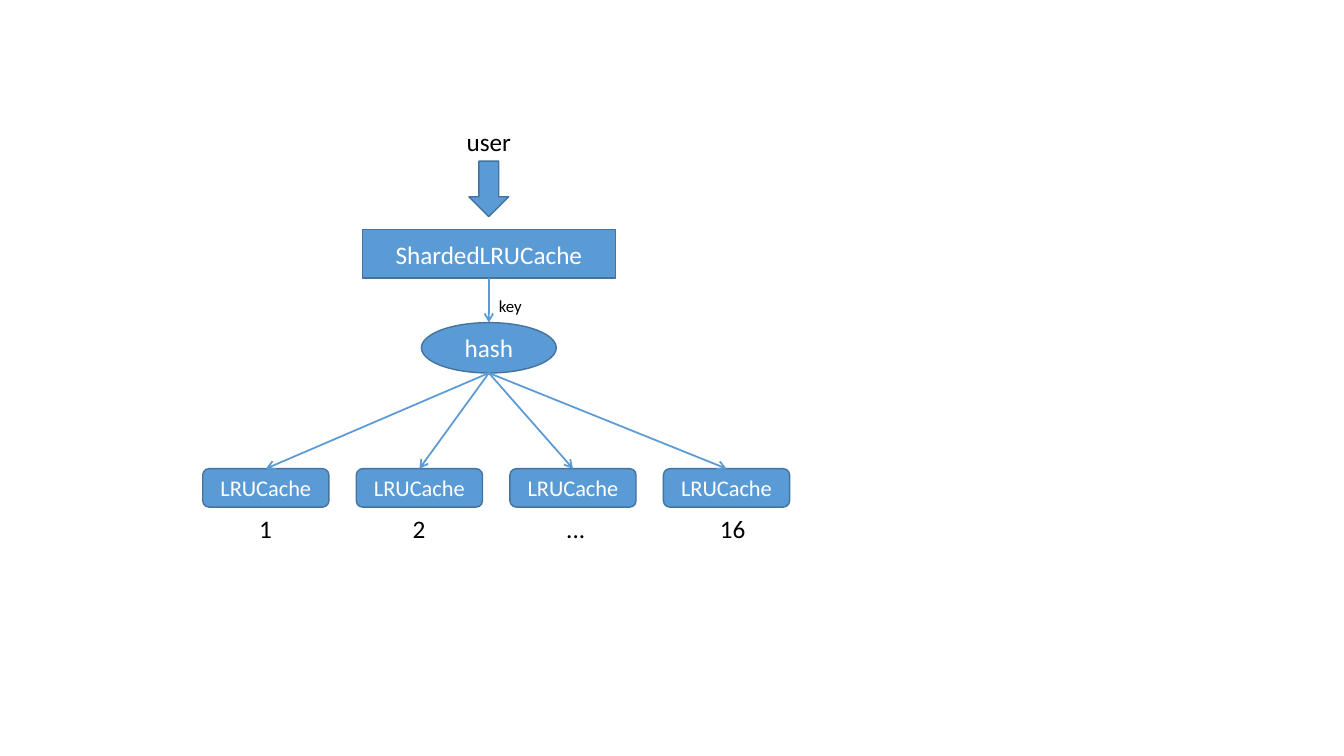
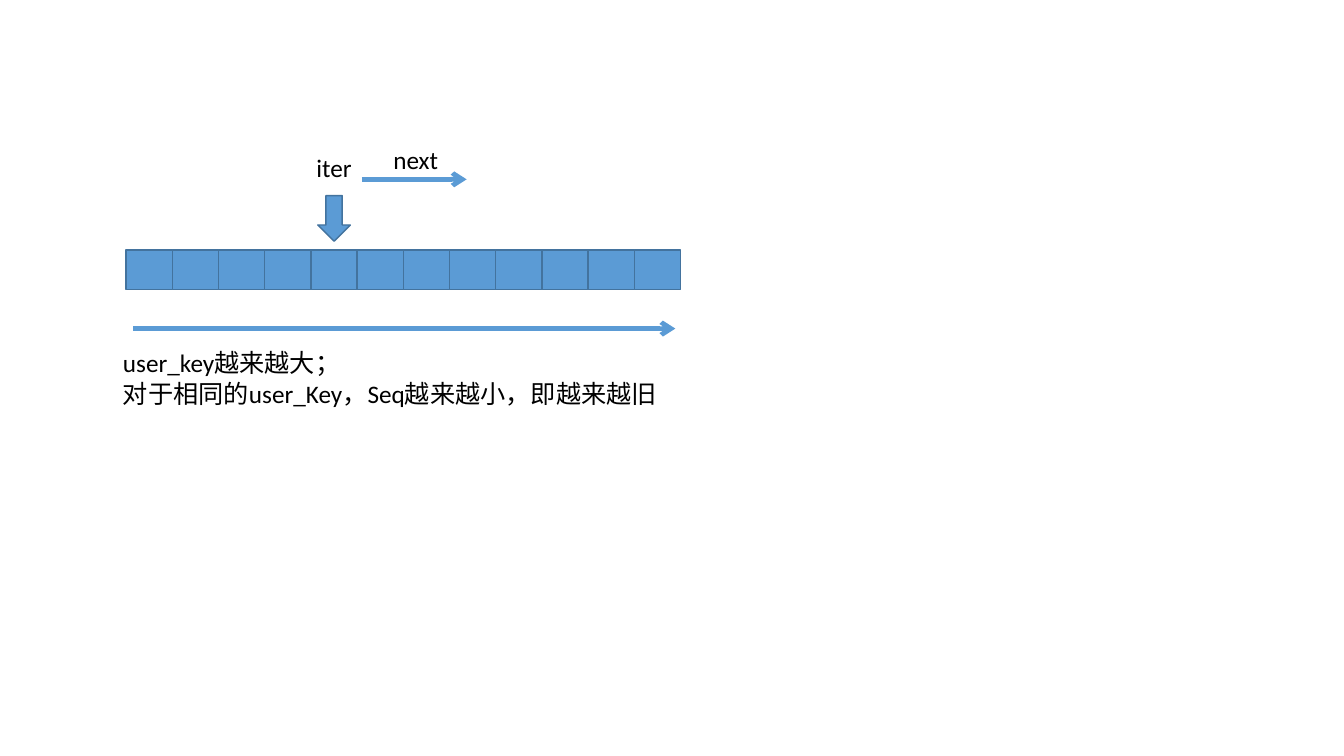
from lxml import etree
from pptx import Presentation
from pptx.dml.color import RGBColor
from pptx.enum.shapes import MSO_CONNECTOR, MSO_SHAPE
from pptx.enum.text import MSO_ANCHOR, PP_ALIGN
from pptx.oxml.ns import qn
from pptx.util import Cm, Pt

RECTANGLE = MSO_SHAPE.RECTANGLE
ROUNDED = MSO_SHAPE.ROUNDED_RECTANGLE
OVAL = MSO_SHAPE.OVAL
DOWN_ARROW = MSO_SHAPE.DOWN_ARROW
STRAIGHT = MSO_CONNECTOR.STRAIGHT
CENTER, LEFT = PP_ALIGN.CENTER, PP_ALIGN.LEFT
MIDDLE, TOP = MSO_ANCHOR.MIDDLE, MSO_ANCHOR.TOP

COLORS = {"fill": "5B9BD5", "outline": "43739E", "on_fill": "FFFFFF", "text": "000000"}
FONT = "Calibri"
BLANK_LAYOUT = 6
TOP_SITE, BOTTOM_SITE = 0, 2


def color(name):
    """Return the named palette colour."""
    return RGBColor.from_string(COLORS[name])


def write(frame, text, size, ink, align, anchor):
    """Set the text of a frame and format its paragraphs and runs."""
    frame.text = text
    frame.word_wrap = True
    frame.vertical_anchor = anchor
    for paragraph in frame.paragraphs:
        paragraph.alignment = align
        for run in paragraph.runs:
            run.font.name = FONT
            run.font.size = Pt(size)
            run.font.color.rgb = color(ink)


def add_block(slide, kind, left, top, width, height, text="", size=18):
    """Add a filled, outlined shape with optional centred text."""
    block = slide.shapes.add_shape(kind, Cm(left), Cm(top), Cm(width), Cm(height))
    block.shadow.inherit = False
    block.fill.solid()
    block.fill.fore_color.rgb = color("fill")
    block.line.color.rgb = color("outline")
    block.line.width = Pt(1)
    if text:
        write(block.text_frame, text, size, "on_fill", CENTER, MIDDLE)
    return block


def add_label(slide, left, top, width, text, size=18, align=LEFT, height=1.02):
    """Add black text on the slide background."""
    label = slide.shapes.add_textbox(Cm(left), Cm(top), Cm(width), Cm(height))
    write(label.text_frame, text, size, "text", align, TOP)


def add_arrow(slide, start, end, width):
    """Add a straight arrow between two points."""
    arrow = slide.shapes.add_connector(STRAIGHT, *(Cm(value) for value in (*start, *end)))
    arrow.line.color.rgb = color("fill")
    arrow.line.width = Pt(width)
    etree.SubElement(arrow.line._get_or_add_ln(), qn("a:tailEnd"), type="arrow")
    etree.SubElement(arrow._element.spPr, qn("a:effectLst"))
    return arrow


def build_sharded_cache(slide, left, top, width):
    """Draw a sharded cache that hashes each key to one of its shards."""
    axis = left + 7.21
    hash_top, hash_bottom = top + 5.08, top + 6.35
    shard_top, shard_width = top + 8.76, 3.18
    shard_names = ("1", "2", "...", "16")
    pitch = (width - shard_width) / (len(shard_names) - 1)

    add_label(slide, axis - 1, top, 2, "user", align=CENTER)
    add_block(slide, DOWN_ARROW, axis - 0.5, top + 1.01, 1, 1.4)
    cache = add_block(slide, RECTANGLE, axis - 3.19, top + 2.74, 6.38, 1.22, "ShardedLRUCache")
    hash_oval = add_block(slide, OVAL, axis - 1.7, hash_top, 3.4, 1.27, "hash")
    key_arrow = add_arrow(slide, (axis, top + 3.96), (axis, hash_top), 1.25)
    key_arrow.begin_connect(cache, BOTTOM_SITE)
    key_arrow.end_connect(hash_oval, TOP_SITE)
    add_label(slide, axis, top + 4.29, 1.4, "key", size=12, height=0.76)

    for index, name in enumerate(shard_names):
        shard_left = left + index * pitch
        shard = add_block(slide, ROUNDED, shard_left, shard_top, shard_width, 0.97, "LRUCache", 16)
        add_label(slide, shard_left + 1.17, shard_top + 0.99, 1.5, name)
        shard_arrow = add_arrow(
            slide, (axis, hash_bottom), (shard_left + shard_width / 2, shard_top), 1.25)
        shard_arrow.end_connect(shard, TOP_SITE)


def build_sorted_entries(slide, left, top, width):
    """Draw the ordered entries, the iterator over them and the sort rule."""
    entry_count, iter_index = 12, 4
    entry_width = width / entry_count
    iter_axis = left + (iter_index + 0.5) * entry_width
    order_y, next_y = top + 4.77, top + 1.01

    for index in range(entry_count):
        add_block(slide, RECTANGLE, left + index * entry_width, top + 2.79, entry_width, 1)
    add_label(slide, iter_axis - 0.9, top + 0.2, 1.8, "iter", align=CENTER)
    add_block(slide, DOWN_ARROW, iter_axis - 0.41, top + 1.42, 0.82, 1.15)
    add_arrow(slide, (left + 0.18, order_y), (left + width - 0.13, order_y), 3.25)
    add_arrow(slide, (left + 5.94, next_y), (left + 8.58, next_y), 3.25)
    add_label(slide, left + 6.3, top, 2, "next", align=CENTER)
    add_label(slide, left - 0.33, top + 5.13, width,
              "user_key越来越大；\n对于相同的user_Key，Seq越来越小，即越来越旧", height=1.8)


def main():
    """Build and save the presentation."""
    deck = Presentation()
    deck.slide_width, deck.slide_height = Cm(33.87), Cm(19.05)
    layout = deck.slide_layouts[BLANK_LAYOUT]
    build_sharded_cache(deck.slides.add_slide(layout), 5.11, 3.05, 14.79)
    build_sorted_entries(deck.slides.add_slide(layout), 3.18, 3.51, 13.97)
    deck.save("out.pptx")


if __name__ == "__main__":
    main()
